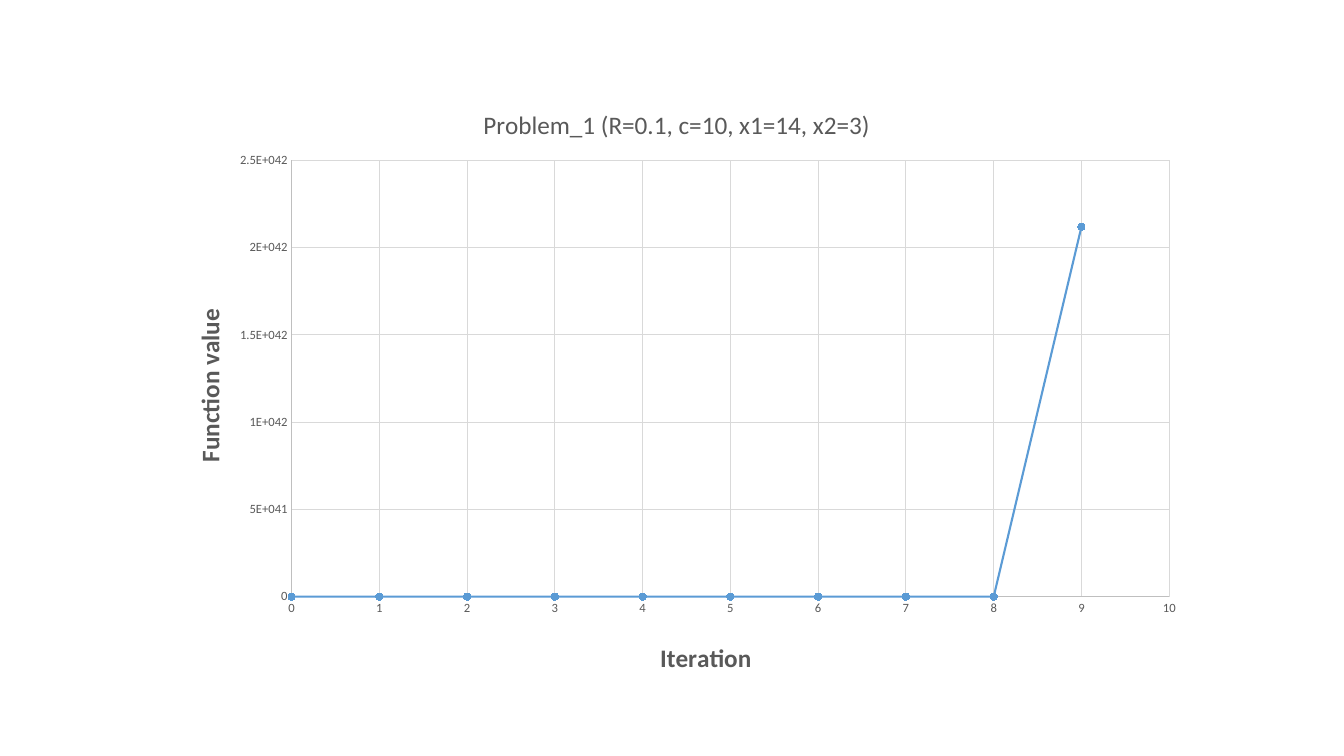
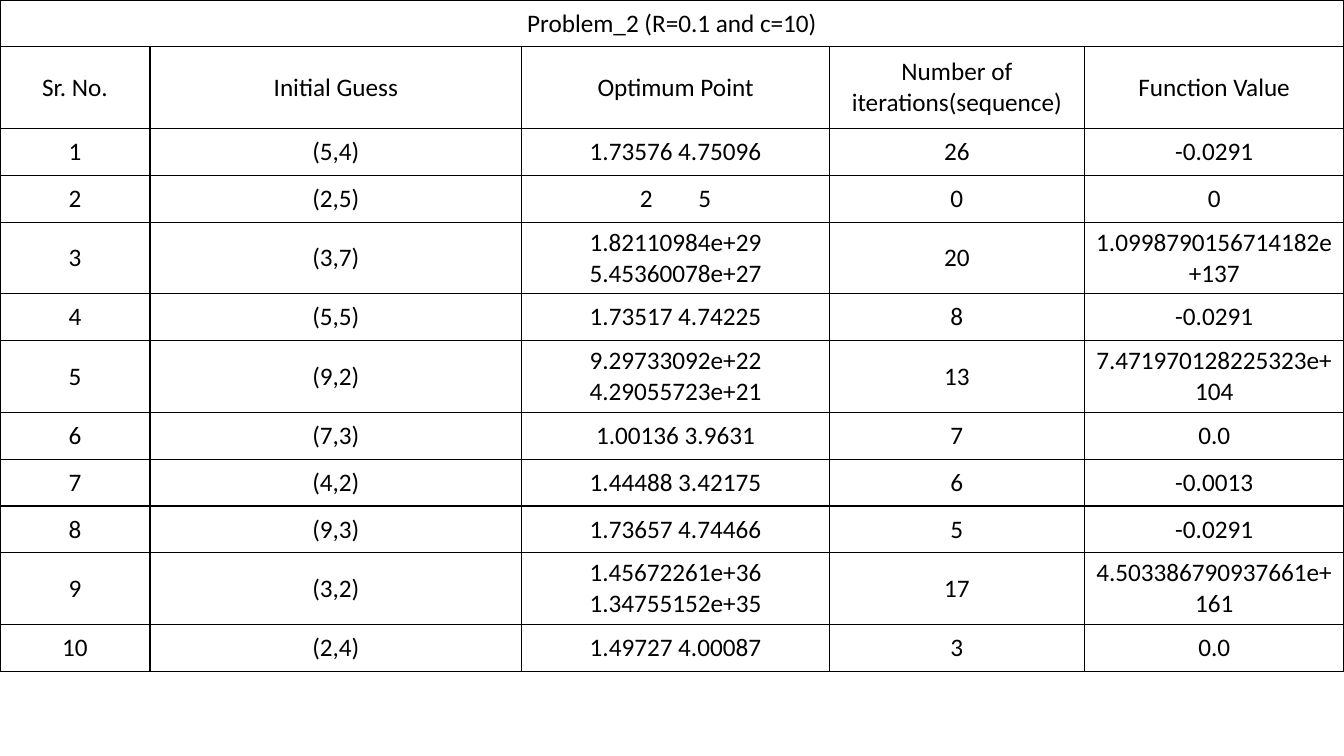
from dataclasses import dataclass
from typing import Any

from pptx import Presentation
from pptx.chart.data import XyChartData
from pptx.dml.color import RGBColor
from pptx.enum.chart import XL_CHART_TYPE as ChartType
from pptx.enum.chart import XL_MARKER_STYLE as MarkerStyle
from pptx.enum.chart import XL_TICK_MARK as TickMark
from pptx.enum.text import MSO_ANCHOR as Anchor
from pptx.enum.text import PP_ALIGN as Align
from pptx.oxml import parse_xml
from pptx.oxml.ns import nsdecls, qn
from pptx.util import Cm, Pt

COLORS = {"text": "000000", "label": "595959", "axis": "BFBFBF",
          "grid": "D9D9D9", "series": "5B9BD5"}
FONT = "Calibri"
BLANK_LAYOUT = 6


@dataclass
class ChartCaption:
    text: str
    left: float
    top: float
    bold: bool = False
    rotation: int = 0


@dataclass
class Result:
    guess: str
    optimum: str
    iterations: str
    value: str


# Function value at each iteration
FUNCTION_VALUES = [0, 0, 0, 0, 0, 0, 6e7, 2.45e9, 0, 2.12e42]
CHART_TITLE = ChartCaption("Problem_1 (R=0.1, c=10, x1=14, x2=3)", 0.31, 0.04)
ITERATION_TITLE = ChartCaption("Iteration", 0.48, 0.91, bold=True)
VALUE_TITLE = ChartCaption("Function value", 0.03, 0.37, bold=True, rotation=-5400000)

# Results table
TABLE_TITLE = "Problem_2 (R=0.1 and c=10)"
HEADERS = ["Sr. No.", "Initial Guess", "Optimum Point",
           "Number of iterations(sequence)", "Function Value"]
COLUMN_WIDTHS = [3.78, 9.37, 7.75, 6.43, 6.54]
ROW_HEIGHT, HEADER_HEIGHT = 1.18, 2.06
WIDE_GAP = "2 5"
RESULTS = [
    Result("(5,4)", "1.73576 4.75096", "26", "-0.0291"),
    Result("(2,5)", WIDE_GAP, "0", "0"),
    Result("(3,7)", "1.82110984e+29 5.45360078e+27", "20", "1.0998790156714182e+137"),
    Result("(5,5)", "1.73517 4.74225", "8", "-0.0291"),
    Result("(9,2)", "9.29733092e+22 4.29055723e+21", "13", "7.471970128225323e+104"),
    Result("(7,3)", "1.00136 3.9631", "7", "0.0"),
    Result("(4,2)", "1.44488 3.42175", "6", "-0.0013"),
    Result("(9,3)", "1.73657 4.74466", "5", "-0.0291"),
    Result("(3,2)", "1.45672261e+36 1.34755152e+35", "17", "4.503386790937661e+161"),
    Result("(2,4)", "1.49727 4.00087", "3", "0.0"),
]


# Shared formatting
def set_attributes(target: Any, values: dict[str, Any]) -> None:
    for name, value in values.items():
        setattr(target, name, value)


def format_font(font: Any, size: float, color: str, bold: bool = False) -> None:
    set_attributes(font, {"name": FONT, "size": Pt(size), "bold": bold})
    font.color.rgb = RGBColor.from_string(COLORS[color])


def format_line(line: Any, color: str, width: float) -> None:
    line.color.rgb = RGBColor.from_string(COLORS[color])
    line.width = Pt(width)


# Chart
def set_layout(element: Any, index: int, values: dict[str, Any]) -> None:
    """Place a chart part by fractions of the chart area."""
    for old in element.findall(qn("c:layout")):
        element.remove(old)
    parts = "".join(f'<c:{name} val="{value}"/>' for name, value in values.items())
    element.insert(index, parse_xml(
        f'<c:layout {nsdecls("c")}><c:manualLayout>{parts}</c:manualLayout></c:layout>'))


def write_caption(title: Any, caption: ChartCaption) -> None:
    paragraph = title.text_frame.paragraphs[0]
    run = paragraph.add_run()
    run.text = caption.text
    for font in (paragraph.font, run.font):
        format_font(font, 18, "label", caption.bold)
    for body in title.element.iter(qn("a:bodyPr")):
        body.set("rot", str(caption.rotation))
        body.set("vert", "horz")
    set_layout(title.element, 1, {"xMode": "edge", "yMode": "edge",
                                  "x": caption.left, "y": caption.top})


def format_axis(axis: Any, maximum: float, step: float, caption: ChartCaption) -> None:
    set_attributes(axis, {
        "minimum_scale": 0, "maximum_scale": maximum, "major_unit": step,
        "major_tick_mark": TickMark.NONE, "minor_tick_mark": TickMark.NONE,
        "has_major_gridlines": True, "has_title": True})
    format_font(axis.tick_labels.font, 9, "label")
    format_line(axis.format.line, "axis", 0.75)
    format_line(axis.major_gridlines.format.line, "grid", 0.75)
    write_caption(axis.axis_title, caption)


def add_function_chart(slide: Any) -> None:
    data = XyChartData()
    points = data.add_series("Series 1")
    for iteration, value in enumerate(FUNCTION_VALUES):
        points.add_data_point(iteration, value)
    chart = slide.shapes.add_chart(ChartType.XY_SCATTER_LINES, Cm(3.94), Cm(1.96),
                                   Cm(26.21), Cm(15.44), data).chart
    set_attributes(chart, {"has_legend": False, "has_title": True})
    format_font(chart.font, 10, "text")
    write_caption(chart.chart_title, CHART_TITLE)
    format_axis(chart.category_axis, 10, 1, ITERATION_TITLE)
    format_axis(chart.value_axis, 2.5e42, 5e41, VALUE_TITLE)

    plot = chart.plots[0]
    plot.vary_by_categories = False
    series = plot.series[0]
    series.smooth = False
    format_line(series.format.line, "series", 1.5)
    set_attributes(series.marker, {"style": MarkerStyle.CIRCLE, "size": 5})
    series.marker.format.fill.solid()
    series.marker.format.fill.fore_color.rgb = RGBColor.from_string(COLORS["series"])
    format_line(series.marker.format.line, "series", 0.75)
    plot_area = chart.element.find(f".//{qn('c:plotArea')}")
    set_layout(plot_area, 0, {"layoutTarget": "inner", "xMode": "edge", "yMode": "edge",
                              "x": 0.13, "y": 0.135, "w": 0.844, "h": 0.712})


# Table
def add_borders(cell: Any) -> None:
    properties = cell._tc.get_or_add_tcPr()
    for side in ("lnL", "lnR", "lnT", "lnB"):
        properties.append(parse_xml(
            f'<a:{side} {nsdecls("a")} w="{Pt(1)}"><a:solidFill>'
            f'<a:srgbClr val="{COLORS["text"]}"/></a:solidFill></a:{side}>'))


def write_cell(cell: Any, text: str) -> None:
    add_borders(cell)
    cell.fill.background()
    cell.vertical_anchor = Anchor.MIDDLE
    paragraph = cell.text_frame.paragraphs[0]
    paragraph.alignment = Align.CENTER
    format_font(paragraph.font, 18, "text")
    for part in (text if text == WIDE_GAP else [text]):
        run = paragraph.add_run()
        run.text = part
        format_font(run.font, 18, "text")
        if part == " ":
            run.font._element.set("spc", "2850")


def add_results_table(slide: Any) -> None:
    rows = [[TABLE_TITLE] + [""] * (len(HEADERS) - 1), HEADERS]
    rows += [[str(number), result.guess, result.optimum, result.iterations, result.value]
             for number, result in enumerate(RESULTS, 1)]
    heights = [ROW_HEIGHT, HEADER_HEIGHT] + [ROW_HEIGHT] * len(RESULTS)
    table = slide.shapes.add_table(len(rows), len(HEADERS), 0, 0,
                                   Cm(sum(COLUMN_WIDTHS)), Cm(sum(heights))).table
    set_attributes(table, {"first_row": False, "horz_banding": False})
    for column, width in zip(table.columns, COLUMN_WIDTHS):
        column.width = Cm(width)
    for row, height, texts in zip(table.rows, heights, rows):
        row.height = Cm(height)
        for cell, text in zip(row.cells, texts):
            write_cell(cell, text)
    table.cell(0, 0).merge(table.cell(0, len(HEADERS) - 1))


def main() -> None:
    presentation = Presentation()
    set_attributes(presentation, {"slide_width": Cm(33.87), "slide_height": Cm(19.05)})
    for draw in (add_function_chart, add_results_table):
        draw(presentation.slides.add_slide(presentation.slide_layouts[BLANK_LAYOUT]))
    presentation.save("out.pptx")


if __name__ == "__main__":
    main()
